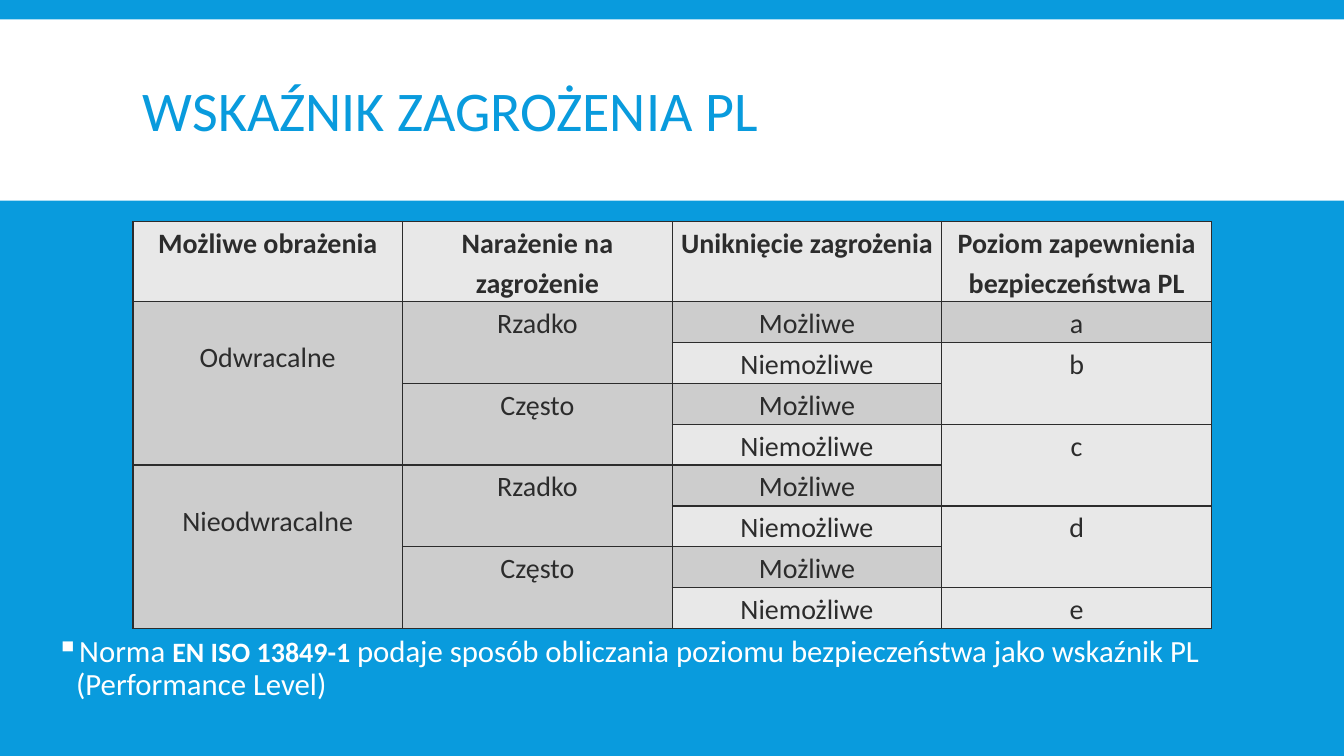
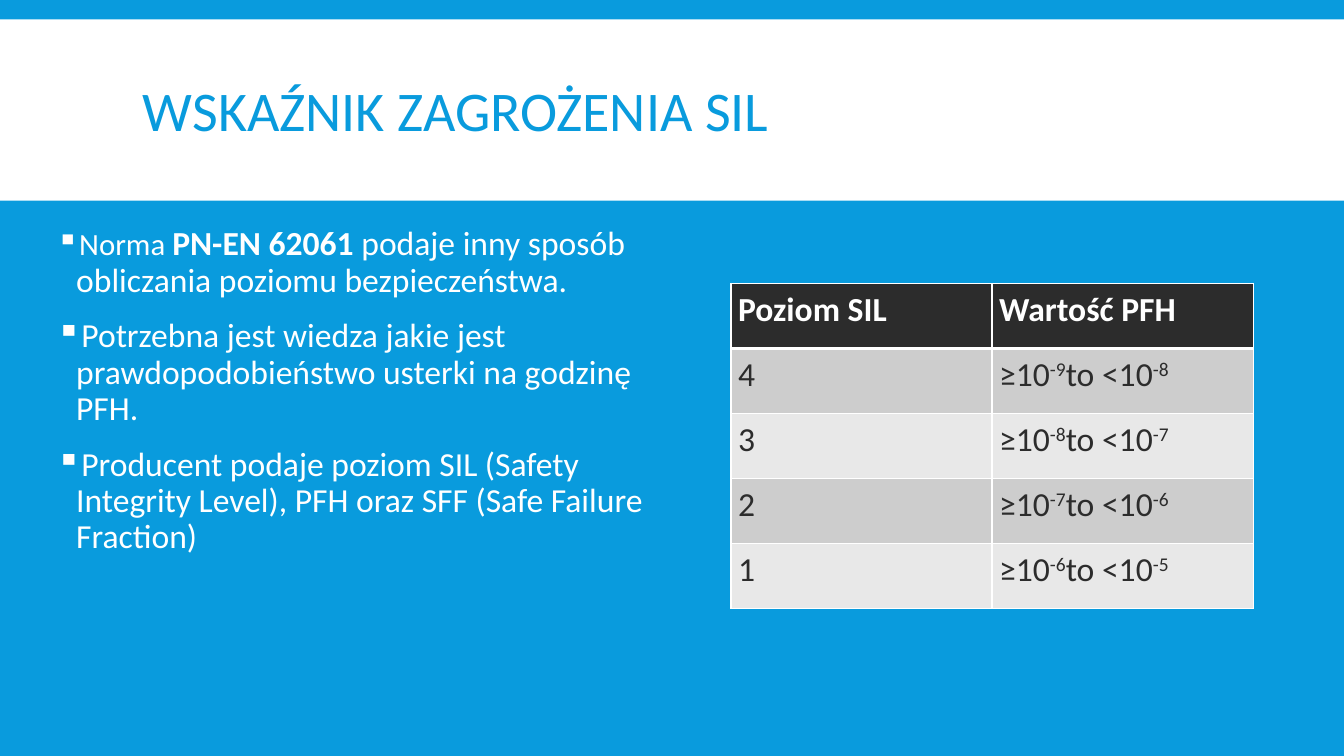
from lxml import etree
from pptx import Presentation
from pptx.dml.color import RGBColor
from pptx.enum.shapes import MSO_SHAPE
from pptx.enum.text import MSO_ANCHOR, PP_ALIGN
from pptx.oxml.ns import qn
from pptx.util import Cm, Pt

RECT = MSO_SHAPE.RECTANGLE
MIDDLE = MSO_ANCHOR.MIDDLE
LEFT, CENTER = PP_ALIGN.LEFT, PP_ALIGN.CENTER

FONT = "Calibri"
BLUE, WHITE, INK = "099BDD", "FFFFFF", "2C2C2C"
DARK, LIGHT = "CDCDCD", "E8E8E8"

WIDTH, HEIGHT = 33.87, 19.05
BAND = (0, 0.49, WIDTH, 4.57)
TITLE = (3.35, 0.79, 27.18, 4.19)
BOLD = {"bold": True}
SUPER = {"base": 30}


def color(code):
    return RGBColor.from_string(code)


def cm(box):
    return [Cm(side) for side in box]


def write(par, parts, size, ink, bold=False, spacing=1.0, align=LEFT):
    """Fill a paragraph with a string, or with (text, changes) pairs."""
    par.alignment = align
    par.line_spacing = spacing
    font = par.font
    font.name, font.size, font.bold = FONT, Pt(size), bold
    font.color.rgb = color(ink)
    if isinstance(parts, str):
        parts = [(parts, {})]
    for text, style in parts:
        run = par.add_run()
        run.text = text
        if "size" in style:
            run.font.size = Pt(style["size"])
        if "bold" in style:
            run.font.bold = style["bold"]
        if "base" in style:
            run.font._element.set("baseline", str(style["base"] * 1000))


def add_frame(slide, box):
    frame = slide.shapes.add_textbox(*cm(box)).text_frame
    frame.word_wrap = True
    return frame


def add_base(prs, title):
    """Add a slide with the blue ground, the white band and its title."""
    slide = prs.slides.add_slide(prs.slide_layouts[6])
    ground = slide.background.fill
    ground.solid()
    ground.fore_color.rgb = color(BLUE)
    band = slide.shapes.add_shape(RECT, *cm(BAND))
    band.shadow.inherit = False
    band.fill.solid()
    band.fill.fore_color.rgb = color(WHITE)
    band.line.fill.background()
    frame = add_frame(slide, TITLE)
    frame.vertical_anchor = MIDDLE
    write(frame.paragraphs[0], title, 40, BLUE, spacing=0.85)
    return slide


def add_list(slide, box, items, size):
    frame = add_frame(slide, box)
    for index, parts in enumerate(items):
        par = frame.add_paragraph() if index else frame.paragraphs[0]
        par.space_before, par.space_after = Pt(12), Pt(2)
        write(par, parts, size, WHITE, spacing=0.9)
        props = par._p.get_or_add_pPr()
        props.set("marL", str(Cm(0.5)))
        props.set("indent", str(-Cm(0.5)))
        tint = etree.Element(qn("a:buClr"))
        etree.SubElement(tint, qn("a:srgbClr"), val=WHITE)
        mark = etree.Element(qn("a:buChar"), char="▪")
        last = props.find(qn("a:defRPr"))
        last.addprevious(tint)
        last.addprevious(mark)


def set_edge(cell, side, ink, width):
    props = cell._tc.get_or_add_tcPr()
    line = etree.SubElement(props, qn("a:ln" + side), w=str(Pt(width)))
    fill = etree.SubElement(line, qn("a:solidFill"))
    etree.SubElement(fill, qn("a:srgbClr"), val=ink)


def add_grid(slide, box, rows, cols, head):
    """Add a plain table; head is the height of its first row."""
    left, top, width, height = box
    shape = slide.shapes.add_table(rows, cols, *cm(box))
    table = shape.table
    table.first_row = table.horz_banding = False
    for col in table.columns:
        col.width = Cm(width / cols)
    for index, row in enumerate(table.rows):
        row.height = Cm((height - head) / (rows - 1) if index else head)
    return table


def style_cell(cell, fill, edge, low=1, high=1):
    """Set fill, insets and borders; high and low are the top and bottom."""
    for side, width in zip("LRTB", (1, 1, high, low)):
        set_edge(cell, side, edge, width)
    cell.fill.solid()
    cell.fill.fore_color.rgb = color(fill)
    cell.margin_left = cell.margin_right = Cm(0.18)
    cell.margin_top = cell.margin_bottom = 0


def add_risk(slide, box):
    """Table of injury, exposure, avoidance and resulting level."""
    heads = ["Możliwe obrażenia", "Narażenie na zagrożenie",
             "Uniknięcie zagrożenia", "Poziom zapewnienia bezpieczeństwa PL"]
    columns = [
        [("Odwracalne", 4), ("Nieodwracalne", 4)],
        [("Rzadko", 2), ("Często", 2)] * 2,
        [("Możliwe", 1), ("Niemożliwe", 1)] * 4,
        [("a", 1), ("b", 2), ("c", 2), ("d", 2), ("e", 1)],
    ]
    table = add_grid(slide, box, 9, 4, 2.01)
    for x, (head, groups) in enumerate(zip(heads, columns)):
        y = 0
        for text, span in [(head, 1)] + groups:
            dark = y and (x < 2 or y % 2)
            for step in range(span):
                style_cell(table.cell(y + step, x), DARK if dark else LIGHT,
                           INK)
            cell = table.cell(y, x)
            if span > 1:
                cell.merge(table.cell(y + span - 1, x))
            if span == 4:
                cell.margin_top = Cm(0.86)
            write(cell.text_frame.paragraphs[0], text, 20, INK, y == 0, 1.15,
                  CENTER)
            y += span


def add_levels(slide, box):
    """Table of SIL levels with their ranges of PFH."""
    rows = [("Poziom SIL", "Wartość PFH")]
    for level in range(4, 0, -1):
        low = -level - 5
        rows.append((str(level), [("≥10", {}), (str(low), SUPER),
                                  ("to <10", {}), (str(low + 1), SUPER)]))
    table = add_grid(slide, box, 5, 2, box[3] / 5)
    for y, row in enumerate(rows):
        fill = (DARK if y % 2 else LIGHT) if y else INK
        for x, parts in enumerate(row):
            cell = table.cell(y, x)
            style_cell(cell, fill, WHITE, 1 if y else 3, 3 if y == 1 else 1)
            write(cell.text_frame.paragraphs[0], parts, 24,
                  INK if y else WHITE, y == 0, 1.15)


def main():
    prs = Presentation()
    prs.slide_width, prs.slide_height = Cm(WIDTH), Cm(HEIGHT)

    slide = add_base(prs, "WSKAŹNIK ZAGROŻENIA PL")
    add_risk(slide, (3.35, 5.59, 27.18, 10.25))
    add_list(slide, (1.17, 15.9, 30.66, 2.49), [
        [("Norma ", {}), ("EN ISO 13849-1 ", {"size": 20, **BOLD}),
         ("podaje sposób obliczania poziomu bezpieczeństwa jako wskaźnik PL "
          "(Performance Level)", {})],
    ], 22)

    slide = add_base(prs, "WSKAŹNIK ZAGROŻENIA SIL")
    add_levels(slide, (18.42, 7.14, 13.16, 8.2))
    add_list(slide, (1.17, 5.59, 16.61, 11.68), [
        [("Norma ", {"size": 22}), ("PN-EN 62061 ", BOLD),
         ("podaje inny sposób obliczania poziomu bezpieczeństwa.", {})],
        "Potrzebna jest wiedza jakie jest prawdopodobieństwo usterki "
        "na godzinę PFH.",
        "Producent podaje poziom SIL (Safety Integrity Level), PFH oraz SFF "
        "(Safe Failure Fraction)",
    ], 24)

    prs.save("out.pptx")


if __name__ == "__main__":
    main()
